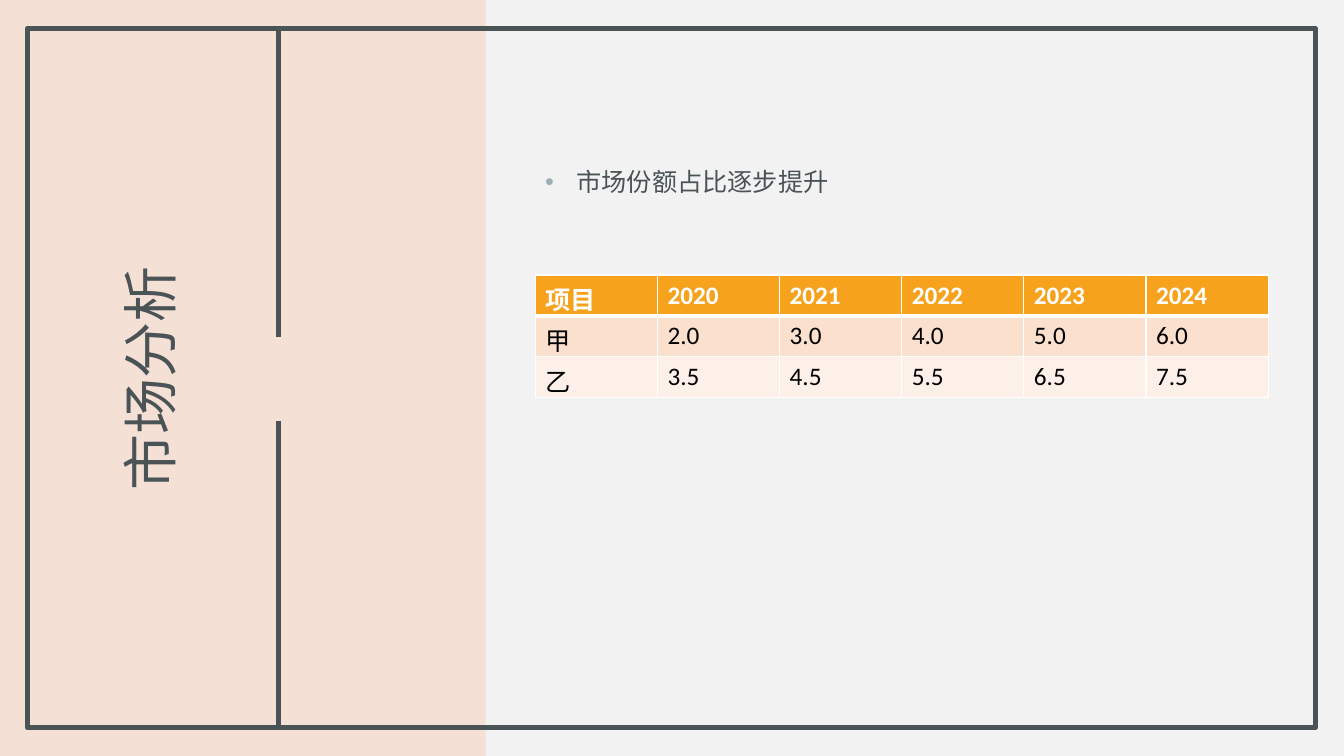
import pptx
import pptx.dml.color
import pptx.enum.shapes
import pptx.enum.text
import pptx.oxml.ns
import pptx.util
from lxml import etree

Cm = pptx.util.Cm
Pt = pptx.util.Pt
RGBColor = pptx.dml.color.RGBColor
Shape = pptx.enum.shapes.MSO_SHAPE
Anchor = pptx.enum.text.MSO_ANCHOR
qn = pptx.oxml.ns.qn

TITLE = "市场分析"
POINT = "市场份额占比逐步提升"
ROWS = [
    ("项目", "2020", "2021", "2022", "2023", "2024"),
    ("甲", "2.0", "3.0", "4.0", "5.0", "6.0"),
    ("乙", "3.5", "4.5", "5.5", "6.5", "7.5"),
]

FONT = "Calibri"
SLATE = RGBColor(0x4A, 0x53, 0x56)
BLUSH = RGBColor(0xF5, 0xE0, 0xD5)
PALE = RGBColor(0xF2, 0xF2, 0xF2)
BULLET = RGBColor(0x9B, 0xAF, 0xB5)
WHITE = RGBColor(0xFF, 0xFF, 0xFF)
BLACK = RGBColor(0, 0, 0)
ROW_FILLS = [
    RGBColor(0xF6, 0xA2, 0x1D),
    RGBColor(0xFB, 0xE0, 0xCD),
    RGBColor(0xFD, 0xF0, 0xE8),
]

PAGE_HEIGHT = 19.05
CONTENT_LEFT, CONTENT_WIDTH = 13.49, 18.47
DIVIDER_X = 7.01
DIVIDER_SPANS = [(0.71, 8.48), (10.62, 18.39)]
FRAME_WIDTH = Pt(3.5)


def add_rectangle(page, left, top, width, height):
    shape = page.shapes.add_shape(
        Shape.RECTANGLE, Cm(left), Cm(top), Cm(width), Cm(height))
    shape.shadow.inherit = False
    return shape


def add_span(para, text, size, color, bold=False):
    span = para.add_run()
    span.text = text
    span.font.name = FONT
    span.font.size = Pt(size)
    span.font.bold = bold
    span.font.color.rgb = color


def add_text_box(page, left, top, width, height):
    box = page.shapes.add_textbox(Cm(left), Cm(top), Cm(width), Cm(height))
    box.text_frame.word_wrap = True
    box.text_frame.vertical_anchor = Anchor.MIDDLE
    return box


def add_color(parent, color):
    etree.SubElement(parent, qn("a:srgbClr"), val=str(color))


def add_bullet(para):
    properties = para._p.get_or_add_pPr()
    properties.set("marL", str(Cm(0.79)))
    properties.set("indent", str(-Cm(0.79)))
    add_color(etree.SubElement(properties, qn("a:buClr")), BULLET)
    etree.SubElement(properties, qn("a:buFont"), typeface="Arial")
    etree.SubElement(properties, qn("a:buChar"), char="•")


def add_borders(cell, widths):
    properties = cell._tc.get_or_add_tcPr()
    for side, width in widths.items():
        border = etree.SubElement(properties, qn("a:ln" + side), w=str(Pt(width)))
        add_color(etree.SubElement(border, qn("a:solidFill")), WHITE)


def add_frame(page):
    panel = add_rectangle(page, 0, 0, 12.24, PAGE_HEIGHT)
    panel.fill.solid()
    panel.fill.fore_color.rgb = BLUSH
    panel.line.fill.background()

    frame = add_rectangle(page, 0.69, 0.71, 32.46, 17.63)
    frame.fill.background()
    frame.line.color.rgb = SLATE
    frame.line.width = FRAME_WIDTH

    for top, bottom in DIVIDER_SPANS:
        divider = page.shapes.add_connector(
            pptx.enum.shapes.MSO_CONNECTOR.STRAIGHT,
            Cm(DIVIDER_X), Cm(top), Cm(DIVIDER_X), Cm(bottom))
        divider.line.color.rgb = SLATE
        divider.line.width = FRAME_WIDTH
        etree.SubElement(divider._element.spPr, qn("a:effectLst"))


def add_texts(page):
    title = add_text_box(page, -4.85, 6.38, 17.42, 6.32)
    title.rotation = 270
    frame = title.text_frame
    frame.margin_left = frame.margin_right = Cm(0.51)
    frame.margin_top = frame.margin_bottom = 0
    para = frame.paragraphs[0]
    para.alignment = pptx.enum.text.PP_ALIGN.CENTER
    para.line_spacing = 0.9
    add_span(para, TITLE, 40, SLATE)

    body = add_text_box(page, CONTENT_LEFT, 1.63, CONTENT_WIDTH, 4.6)
    body.text_frame.margin_top = Cm(1.43)
    para = body.text_frame.paragraphs[0]
    add_bullet(para)
    add_span(para, POINT, 18, SLATE)


def add_share_table(page):
    table = page.shapes.add_table(
        len(ROWS), len(ROWS[0]), Cm(CONTENT_LEFT), Cm(6.93),
        Cm(CONTENT_WIDTH), Cm(3.09)).table
    for row_index, (values, fill) in enumerate(zip(ROWS, ROW_FILLS)):
        header = row_index == 0
        for column_index, value in enumerate(values):
            cell = table.cell(row_index, column_index)
            top = 3 if row_index == 1 else 1
            bottom = 3 if header else 1
            add_borders(cell, {"L": 1, "R": 1, "T": top, "B": bottom})
            cell.fill.solid()
            cell.fill.fore_color.rgb = fill
            color = WHITE if header else BLACK
            add_span(cell.text_frame.paragraphs[0], value, 18, color, header)


def main():
    deck = pptx.Presentation()
    deck.slide_width = Cm(33.87)
    deck.slide_height = Cm(PAGE_HEIGHT)
    page = deck.slides.add_slide(deck.slide_layouts[6])
    page.background.fill.solid()
    page.background.fill.fore_color.rgb = PALE
    add_frame(page)
    add_texts(page)
    add_share_table(page)
    deck.save("out.pptx")


if __name__ == "__main__":
    main()
